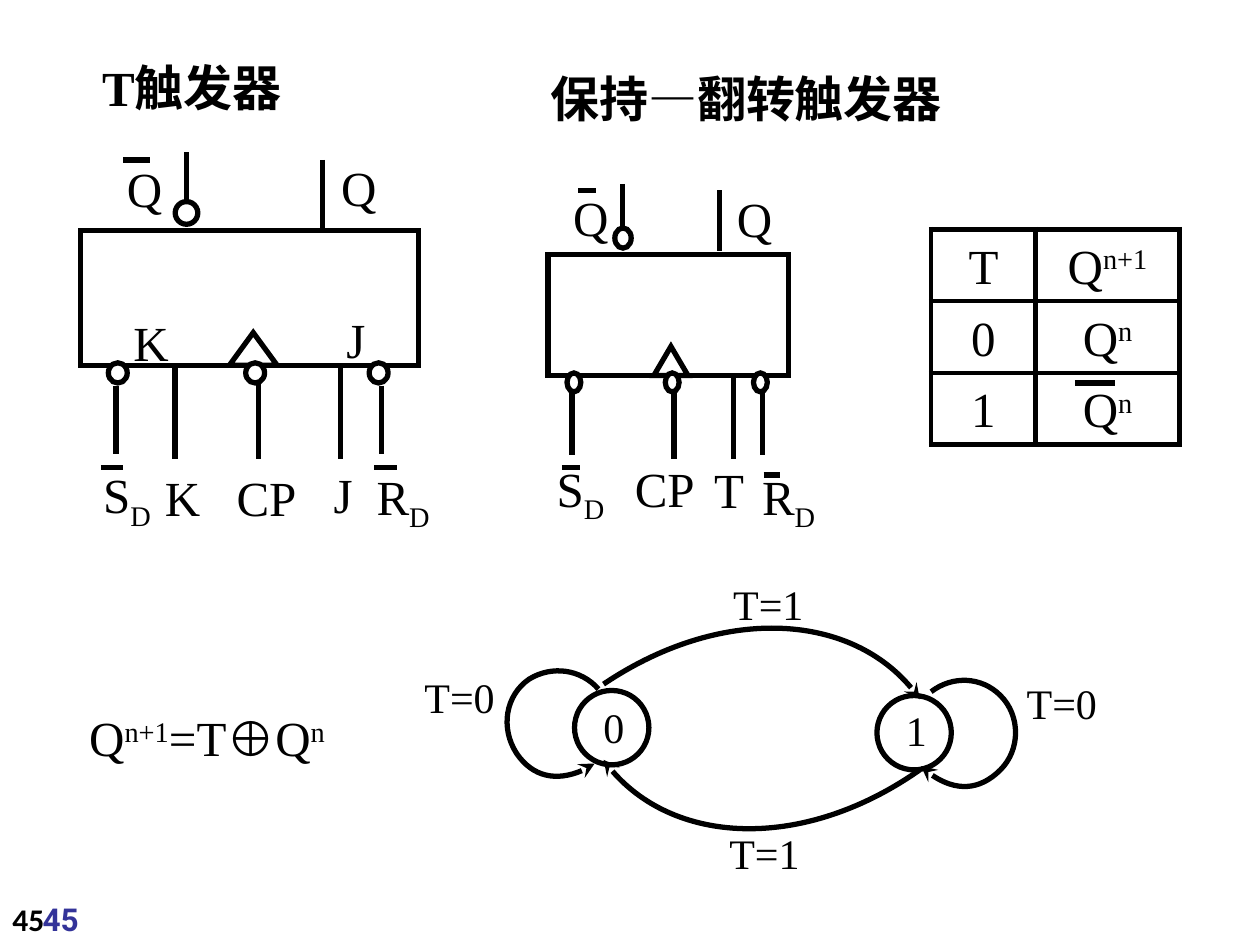
from lxml import etree
from pptx import Presentation
from pptx.dml.color import RGBColor
from pptx.enum.shapes import MSO_CONNECTOR, MSO_SHAPE
from pptx.enum.text import MSO_ANCHOR, PP_ALIGN
from pptx.oxml.ns import qn
from pptx.util import Pt

PX = 9144  # EMU in one px, 100 px to the inch
BLACK = RGBColor(0x00, 0x00, 0x00)
WHITE = RGBColor(0xFF, 0xFF, 0xFF)
NAVY = RGBColor(0x33, 0x33, 0x99)
STRAIGHT = MSO_CONNECTOR.STRAIGHT
OVAL, RECTANGLE, TRIANGLE = MSO_SHAPE.OVAL, MSO_SHAPE.RECTANGLE, MSO_SHAPE.ISOSCELES_TRIANGLE
TOP, MIDDLE = MSO_ANCHOR.TOP, MSO_ANCHOR.MIDDLE
LEFT, CENTER = PP_ALIGN.LEFT, PP_ALIGN.CENTER
STROKE = Pt(3)
SERIF = {"name": "Times New Roman", "size": Pt(28), "bold": False}
STATE_FONT = {**SERIF, "size": Pt(24)}
TITLE_FONT = {**SERIF, "bold": True}
SUPERSCRIPT, SUBSCRIPT = "30000", "-25000"

T_FROM_JK = {
    "body": (268, 107),
    "inverted_output": (84, -62, 18, 18),
    "output": (192, -56, -2),
    "clock": (118, 81, 38, 26),
    "stems": (75, 141, 206), "stem_end": 181,
    "bubbles": (22, 131, 229), "bubble_box": (105, 15, 16),
    "set_reset": (28, 239), "set_reset_ends": (123, 177),
    "labels": [(197, -63, ["Q"]), (27, -62, ["Q"]), (201, 58, ["J"]), (32, 60, ["K"]),
               (191, 181, ["J"]), (57, 183, ["K"]), (114, 183, ["CP"]),
               (225, 182, ["R", ("D", SUBSCRIPT)]), (8, 181, ["S", ("D", SUBSCRIPT)])],
    "overbars": [(34, -56, 21), (233, 188, 18), (16, 188, 18)],
}
T_SYMBOL = {
    "body": (191, 96),
    "inverted_output": (59, -56, 13, 16),
    "output": (136, -51, -3),
    "clock": (84, 73, 27, 23),
    "stems": (100, 147), "stem_end": 162,
    "bubbles": (15, 93, 163), "bubble_box": (94, 11, 15),
    "set_reset": (19, 170), "set_reset_ends": (110, 159),
    "labels": [(140, -57, ["Q"]), (10, -58, ["Q"]), (122, 158, ["T"]), (59, 157, ["CP"]),
               (160, 163, ["R", ("D", SUBSCRIPT)]), (-3, 157, ["S", ("D", SUBSCRIPT)])],
    "overbars": [(24, -51, 14), (171, 175, 13), (11, 169, 14)],
}
TRUTH_ROWS = [
    (["T"], ["Q", ("n+1", SUPERSCRIPT)]),
    (["0"], ["Q", ("n", SUPERSCRIPT)]),
    (["1"], ["Q", ("n", SUPERSCRIPT)]),
]
# Each transition is a start point followed by groups of three Bézier points.
TRANSITIONS = [
    [(148, 93), (134, 77), (111, 74), (93, 85), (74, 98), (70, 124), (83, 144),
     (96, 163), (122, 168), (145, 152)],
    [(412, 95), (429, 82), (452, 83), (467, 98), (483, 114), (483, 141), (467, 157),
     (450, 174), (424, 174), (404, 154)],
    [(152, 89), (244, 27), (356, 32), (403, 101)],
    [(403, 157), (312, 221), (200, 217), (152, 149)],
]


def emu(*lengths):
    return [length * PX for length in lengths]


def set_attributes(target, values):
    for name, value in values.items():
        setattr(target, name, value)


def write(frame, parts, font=SERIF, color=BLACK, align=LEFT):
    """Fill the frame with runs; a part is text or (text, baseline)."""
    paragraph = frame.paragraphs[0]
    paragraph.alignment = align
    for part in parts:
        text, baseline = (part, None) if isinstance(part, str) else part
        run = paragraph.add_run()
        run.text = text
        set_attributes(run.font, font)
        run.font.color.rgb = color
        if baseline:
            run.font._element.set("baseline", baseline)


def add_label(slide, left, top, width, height, parts, font=SERIF, color=BLACK, anchor=TOP):
    frame = slide.shapes.add_textbox(*emu(left, top, width, height)).text_frame
    set_attributes(frame, {"word_wrap": True, "vertical_anchor": anchor})
    write(frame, parts, font, color)


def add_line(slide, x1, y1, x2, y2):
    connector = slide.shapes.add_connector(STRAIGHT, *emu(x1, y1, x2, y2))
    connector.line.color.rgb = BLACK
    connector.line.width = STROKE
    etree.SubElement(connector._element.spPr, qn("a:effectLst"))


def outline(shape, fill=None):
    shape.shadow.inherit = False
    if fill is None:
        shape.fill.background()
    else:
        shape.fill.solid()
        shape.fill.fore_color.rgb = fill
    shape.line.color.rgb = BLACK
    shape.line.width = STROKE
    etree.SubElement(shape.line._get_or_add_ln(), qn("a:miter"), lim="800000")


def add_outlined(slide, kind, left, top, width, height, fill=None):
    shape = slide.shapes.add_shape(kind, *emu(left, top, width, height))
    outline(shape, fill)


def add_flip_flop(slide, left, top, symbol):
    width, height = symbol["body"]
    add_outlined(slide, RECTANGLE, left, top, width, height)

    x, y, bubble_width, bubble_height = symbol["inverted_output"]
    bubble_top = top - bubble_height - 5
    add_line(slide, left + x, top + y, left + x, bubble_top)
    add_outlined(slide, OVAL, left + x - bubble_width // 2, bubble_top,
                 bubble_width, bubble_height)
    x, start, end = symbol["output"]
    add_line(slide, left + x, top + start, left + x, top + end)

    x, y, *size = symbol["clock"]
    add_outlined(slide, TRIANGLE, left + x, top + y, *size)
    for x in symbol["stems"]:
        add_line(slide, left + x, top + height, left + x, top + symbol["stem_end"])
    start, end = symbol["set_reset_ends"]
    for x in symbol["set_reset"]:
        add_line(slide, left + x, top + start, left + x, top + end)
    y, *size = symbol["bubble_box"]
    for x in symbol["bubbles"]:
        add_outlined(slide, OVAL, left + x, top + y, *size, WHITE)

    for x, y, parts in symbol["labels"]:
        add_label(slide, left + x, top + y, 83, 57, parts)
    for x, y, length in symbol["overbars"]:
        add_line(slide, left + x, top + y, left + x + length, top + y)


def set_borders(cell):
    properties = cell._tc.get_or_add_tcPr()
    for index, side in enumerate(("a:lnL", "a:lnR", "a:lnT", "a:lnB")):
        border = etree.Element(qn(side), w=str(STROKE))
        fill = etree.SubElement(border, qn("a:solidFill"))
        etree.SubElement(fill, qn("a:srgbClr"), val=str(BLACK))
        properties.insert(index, border)


def add_truth_table(slide, left, top, column_widths, row_height):
    size = sum(column_widths), row_height * len(TRUTH_ROWS)
    table = slide.shapes.add_table(len(TRUTH_ROWS), len(column_widths),
                                   *emu(left, top, *size)).table
    set_attributes(table, {"first_row": False, "horz_banding": False})
    for column, width in zip(table.columns, column_widths):
        column.width = width * PX
    for row, texts in zip(table.rows, TRUTH_ROWS):
        for cell, parts in zip(row.cells, texts):
            set_attributes(cell, {"vertical_anchor": MIDDLE, "margin_top": 4 * PX,
                                  "margin_bottom": 0})
            cell.fill.background()
            set_borders(cell)
            write(cell.text_frame, parts, align=CENTER)
    add_line(slide, left + 114, top + 122, left + 146, top + 122)


def add_transition(slide, left, top, points):
    points = [(left + x, top + y) for x, y in points]
    builder = slide.shapes.build_freeform(*points[0], scale=PX)
    builder.add_line_segments(points[1:], close=False)
    curve = builder.convert_to_shape()
    segments = list(curve._element.iter(qn("a:lnTo")))
    for first in range(0, len(segments), 3):
        bezier = etree.Element(qn("a:cubicBezTo"))
        segments[first].addprevious(bezier)
        for segment in segments[first:first + 3]:
            bezier.append(segment[0])
            segment.getparent().remove(segment)
    outline(curve)
    etree.SubElement(curve.line._get_or_add_ln(), qn("a:tailEnd"), type="stealth")


def add_state_diagram(slide, left, top):
    for x, y in ((129, 94), (369, 98)):
        add_outlined(slide, OVAL, left + x, top + y, 59, 59)
    for points in TRANSITIONS:
        add_transition(slide, left, top, points)
    for text, x, y in (("0", 142, 98), ("1", 382, 100), ("T=0", 0, 74), ("T=0", 478, 79),
                       ("T=1", 245, 0), ("T=1", 242, 198)):
        add_label(slide, left + x, top + y, 89, 50, [text], STATE_FONT)


def add_title(slide, left, top, width, height):
    title = slide.shapes.title
    box = dict(zip(("left", "top", "width", "height"), emu(left, top, width, height)))
    set_attributes(title, box)
    title.text_frame.vertical_anchor = TOP
    write(title.text_frame, ["T触发器"], TITLE_FONT)


def main():
    presentation = Presentation()
    presentation.slide_width, presentation.slide_height = emu(1000, 750)
    slide = presentation.slides.add_slide(presentation.slide_layouts[5])
    add_title(slide, 71, 41, 240, 57)
    add_label(slide, 427, 49, 356, 57, ["保持—翻转触发器"], TITLE_FONT, anchor=MIDDLE)
    add_flip_flop(slide, 64, 183, T_FROM_JK)
    add_flip_flop(slide, 435, 202, T_SYMBOL)
    add_truth_table(slide, 739, 182, (83, 114), 57)
    add_label(slide, 61, 557, 231, 57,
              ["Q", ("n+1", SUPERSCRIPT), "=T⊕Q", ("n", SUPERSCRIPT)])
    add_state_diagram(slide, 327, 454)
    for left, name, color in ((0, "Calibri", BLACK), (24, "Roboto", NAVY)):
        add_label(slide, left, 709, 99, 37, ["45"],
                  {"name": name, "size": Pt(18), "bold": True}, color)
    presentation.save("out.pptx")


if __name__ == "__main__":
    main()
